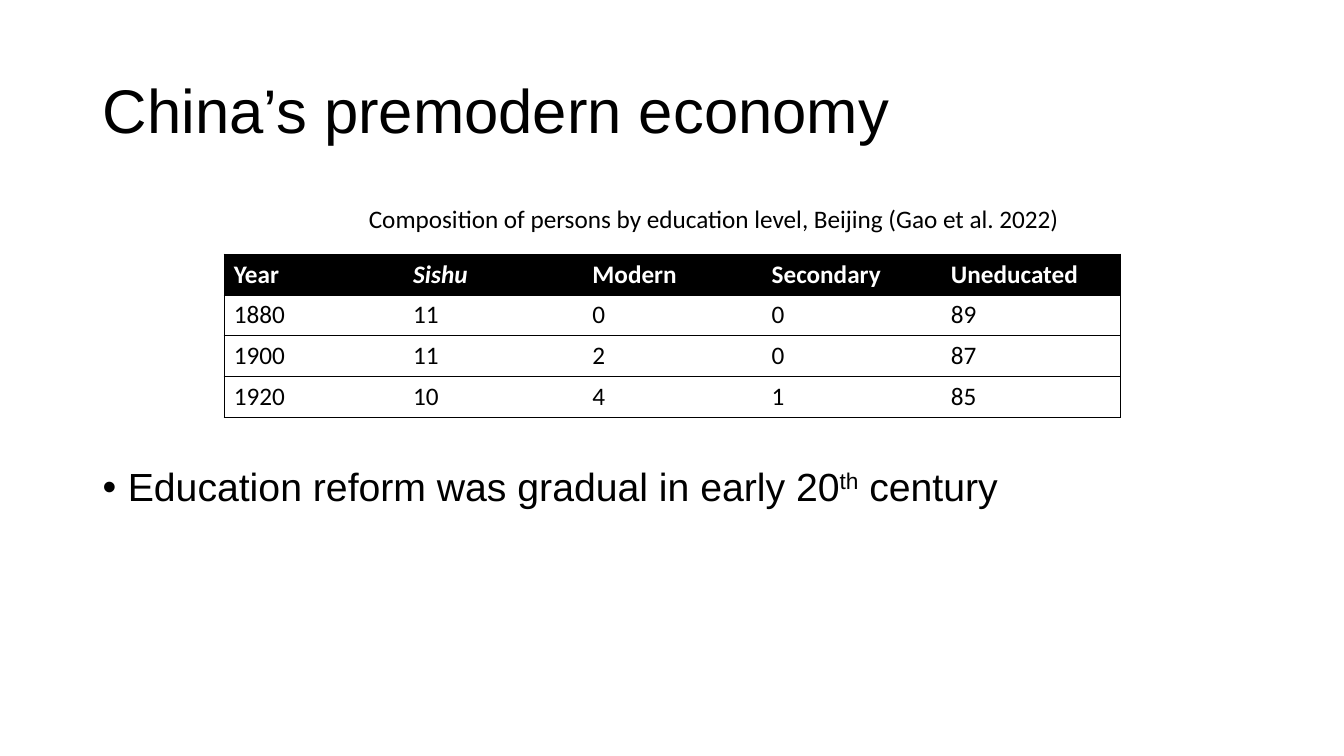
from dataclasses import dataclass

from lxml import etree
from pptx import Presentation
from pptx import util as u
from pptx.dml.color import RGBColor
from pptx.enum import text as tx
from pptx.oxml import ns

BLACK, WHITE = "000000", "FFFFFF"
PLAIN_GRID = "{2D5ABB26-0587-4C30-8999-92F81FD0307C}"


@dataclass
class Font:
    name: str
    size: int
    color: str = BLACK
    bold: bool = False


@dataclass
class Label:
    words: list[str]
    left: float
    top: float
    width: float
    height: float
    font: Font
    pad: float = 0.05
    line: float = 1.0
    anchor: tx.MSO_ANCHOR = tx.MSO_ANCHOR.TOP


def paint(hue: str) -> RGBColor:
    return RGBColor.from_string(hue)


def style(run, font: Font) -> None:
    run.font.name = font.name
    run.font.size = u.Pt(font.size)
    run.font.bold = font.bold
    run.font.color.rgb = paint(font.color)


def add_label(slide, label: Label):
    box = slide.shapes.add_textbox(*map(u.Inches, (
        label.left, label.top, label.width, label.height)))
    frame = box.text_frame
    frame.word_wrap = True
    frame.vertical_anchor = label.anchor
    frame.margin_top = u.Inches(label.pad)
    para = frame.paragraphs[0]
    para.line_spacing = label.line
    for word in label.words:
        run = para.add_run()
        run.text = word
        style(run, label.font)
    return para


def add_bullet(para, indent: float) -> None:
    props = para._p.get_or_add_pPr()
    props.set("marL", str(u.Inches(indent)))
    props.set("indent", str(-u.Inches(indent)))
    etree.SubElement(props, ns.qn("a:buFont"), typeface="Arial")
    etree.SubElement(props, ns.qn("a:buChar"), char="•")


def add_edges(cell, sides: str) -> None:
    props = cell._tc.get_or_add_tcPr()
    for spot, side in enumerate(sides):
        line = etree.Element(ns.qn(f"a:ln{side}"), w=str(u.Pt(0.5)))
        fill = etree.SubElement(line, ns.qn("a:solidFill"))
        etree.SubElement(fill, ns.qn("a:srgbClr"), val=BLACK)
        props.insert(spot, line)


def add_grid(slide, rows: list[list[str]]) -> None:
    last = len(rows[0]) - 1
    table = slide.shapes.add_table(len(rows), last + 1, *map(
        u.Inches, (2.22, 2.52, 8.89, 1.62))).table
    table._tbl.tblPr.find(ns.qn("a:tableStyleId")).text = PLAIN_GRID
    table.horz_banding = False
    for r, row in enumerate(rows):
        head = r == 0
        font = Font("Calibri", 18, WHITE if head else BLACK, head)
        for c, value in enumerate(row):
            cell = table.cell(r, c)
            cell.text_frame.text = value
            run = cell.text_frame.paragraphs[0].runs[0]
            style(run, font)
            run.font.italic = value == "Sishu"
            if head:
                cell.fill.solid()
                cell.fill.fore_color.rgb = paint(BLACK)
            else:
                cell.fill.background()
            # Outer sides at the ends, rules above and below every row
            add_edges(cell, "L" * (c == 0) + "R" * (c == last) + "TB")


def main() -> None:
    deck = Presentation()
    deck.slide_width, deck.slide_height = u.Inches(13.33), u.Inches(7.5)
    slide = deck.slides.add_slide(deck.slide_layouts[6])

    # Title
    add_label(slide, Label(["China’s premodern economy"], 0.92, 0.4, 11.5, 1.45,
                           Font("Arial", 44), line=0.9,
                           anchor=tx.MSO_ANCHOR.MIDDLE))

    # Bullet, set below the table by the top inset
    point = add_label(slide, Label(
        ["Education reform was gradual in early 20", "th", " century"],
        0.92, 2, 11.5, 4.76, Font("Arial", 28), pad=2.64, line=0.9))
    add_bullet(point, 0.25)
    point.runs[1].font._element.set("baseline", "30000")

    # Table and its caption
    add_grid(slide, [
        ["Year", "Sishu", "Modern", "Secondary", "Uneducated"],
        ["1880", "11", "0", "0", "89"],
        ["1900", "11", "2", "0", "87"],
        ["1920", "10", "4", "1", "85"],
    ])
    add_label(slide, Label(
        ["Composition of persons by education level, Beijing (Gao et al. 2022)"],
        3.56, 1.97, 7.13, 0.4, Font("Calibri", 18)))

    deck.save("out.pptx")


if __name__ == "__main__":
    main()
